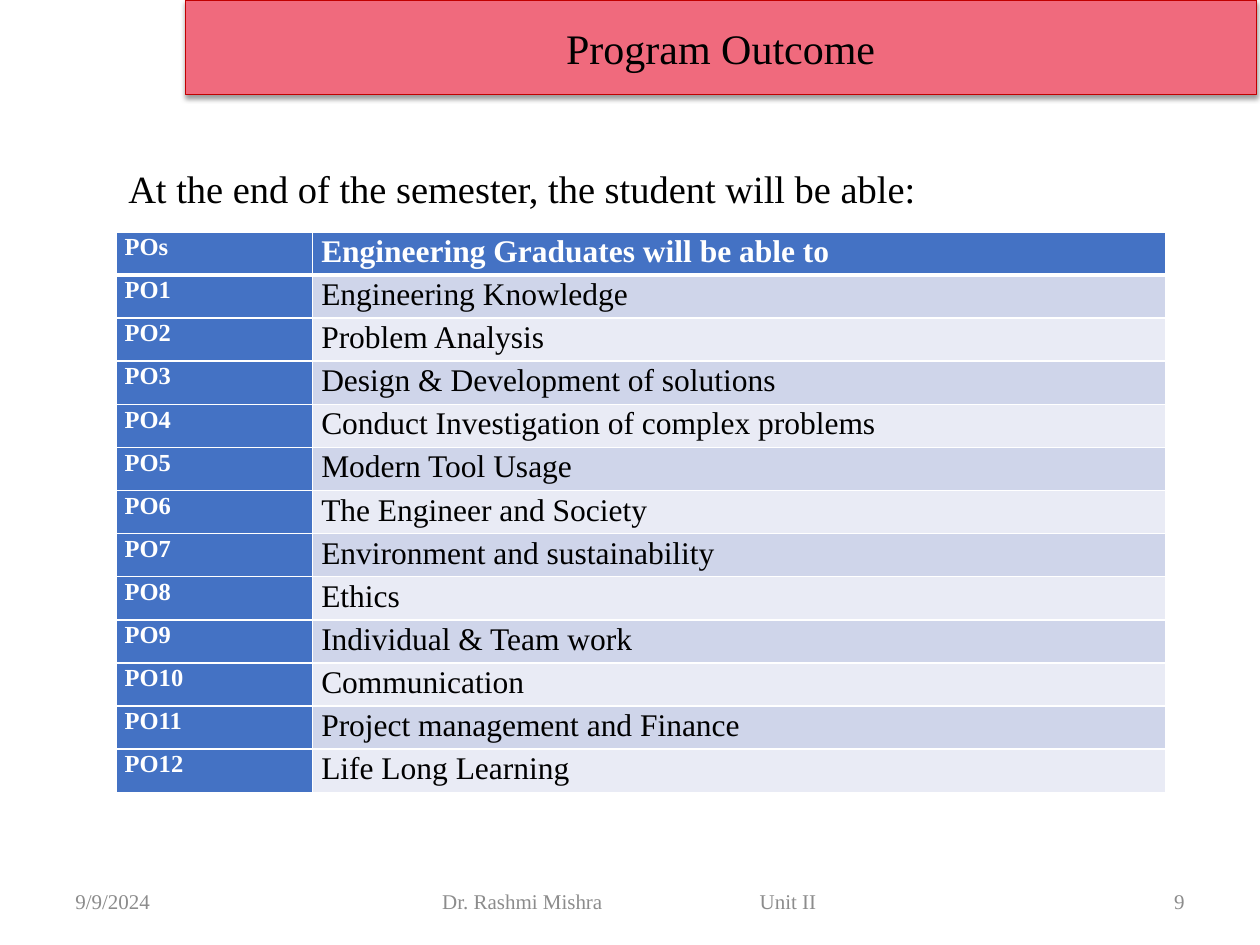
from lxml import etree
from pptx import Presentation
from pptx.dml.color import RGBColor
from pptx.enum import text as t
from pptx.oxml import parse_xml
from pptx.oxml import ns
from pptx.util import Inches, Pt

FONT = "Times New Roman"
COLORS = {
    "black": "000000", "white": "FFFFFF", "gray": "8C8C8C",
    "banner": "F06A7D", "banner_line": "C00000",
    "head": "4472C4", "odd": "CFD5EA", "even": "E9EBF5",
}
OUTCOMES = [
    "Engineering Knowledge", "Problem Analysis",
    "Design & Development of solutions",
    "Conduct Investigation of complex problems",
    "Modern Tool Usage", "The Engineer and Society",
    "Environment and sustainability", "Ethics",
    "Individual & Team work", "Communication",
    "Project management and Finance", "Life Long Learning",
]
ALIGN = t.PP_ALIGN


def rgb(name):
    return RGBColor.from_string(COLORS[name])


def add_run(p, text, size, color, bold=False):
    r = p.add_run()
    r.text = text
    r.font.name, r.font.size, r.font.bold = FONT, Pt(size), bold
    r.font.color.rgb = rgb(color)


def add_text(s, box, text, size, color, align=ALIGN.LEFT, anchor=t.MSO_ANCHOR.MIDDLE):
    tf = s.shapes.add_textbox(*map(Inches, box)).text_frame
    tf.word_wrap = True
    tf.vertical_anchor = anchor
    p = tf.paragraphs[0]
    p.alignment = align
    add_run(p, text, size, color)
    return tf


def add_banner(s, box, text):
    sp = s.shapes.title
    sp.left, sp.top, sp.width, sp.height = map(Inches, box)
    sp.fill.solid()
    sp.fill.fore_color.rgb = rgb("banner")
    sp.line.color.rgb = rgb("banner_line")
    sp.line.width = Pt(0.75)
    sp._element.spPr.append(parse_xml(
        f'<a:effectLst {ns.nsdecls("a")}>'
        f'<a:outerShdw blurRad="{Pt(3.1)}" dist="{Pt(1.6)}" dir="5400000" rotWithShape="0">'
        f'<a:srgbClr val="{COLORS["black"]}"><a:alpha val="38000"/></a:srgbClr>'
        '</a:outerShdw></a:effectLst>'))
    tf = sp.text_frame
    tf.auto_size = t.MSO_AUTO_SIZE.NONE
    tf.vertical_anchor = t.MSO_ANCHOR.MIDDLE
    p = tf.paragraphs[0]
    p.alignment = ALIGN.CENTER
    add_run(p, text, 24, "black")


def add_intro(s, box, text):
    tf = add_text(s, box, text, 22, "black", anchor=t.MSO_ANCHOR.TOP)
    tf.auto_size = t.MSO_AUTO_SIZE.SHAPE_TO_FIT_TEXT
    tf.paragraphs[0].line_spacing = 1.15
    tf.paragraphs[0].space_after = Pt(10)


def set_borders(cell, top, bottom):
    """Draw white borders, with the top and bottom widths in points."""
    tcPr = cell._tc.get_or_add_tcPr()
    widths = {"lnL": 1, "lnR": 1, "lnT": top, "lnB": bottom}
    for i, (tag, width) in enumerate(widths.items()):
        ln = etree.Element(ns.qn(f"a:{tag}"), w=str(Pt(width)))
        fill = etree.SubElement(ln, ns.qn("a:solidFill"))
        etree.SubElement(fill, ns.qn("a:srgbClr"), val=COLORS["white"])
        tcPr.insert(i, ln)


def add_outcomes(s, box, col_widths):
    rows = [("POs", "Engineering Graduates will be able to")]
    rows += [(f"PO{i}", name) for i, name in enumerate(OUTCOMES, 1)]
    table = s.shapes.add_table(len(rows), 2, *map(Inches, box)).table
    table.first_col = True
    for col, width in zip(table.columns, col_widths):
        col.width = Inches(width)
    for i, row in enumerate(rows):
        table.rows[i].height = Inches(box[3] / len(rows))
        for j, text in enumerate(row):
            cell = table.cell(i, j)
            heading = i == 0 or j == 0
            cell.margin_left = cell.margin_right = Inches(0.07)
            cell.margin_top = cell.margin_bottom = 0
            cell.fill.solid()
            cell.fill.fore_color.rgb = rgb("head" if heading else "odd" if i % 2 else "even")
            set_borders(cell, 3 if i == 1 else 1, 3 if i == 0 else 1)
            p = cell.text_frame.paragraphs[0]
            p.line_spacing = 1.07
            add_run(p, text, 18 if j else 14, "white" if heading else "black", heading)


def add_footer(s, box):
    """Place the date, the author with the unit, and the page number."""
    left, top, width, height = box
    side, middle = 2.33, 5.5
    add_text(s, (left, top, side, height), "9/9/2024", 12, "gray")
    tf = add_text(s, (left + (width - middle) / 2, top, middle, height),
                  "Dr. Rashmi Mishra\tUnit II", 12, "gray")
    tf.margin_left = Inches(1.26)
    tabs = etree.SubElement(tf.paragraphs[0]._p.get_or_add_pPr(), ns.qn("a:tabLst"))
    etree.SubElement(tabs, ns.qn("a:tab"), pos=str(Inches(2.52)), algn="l")
    add_text(s, (left + width - side, top, side, height), "9", 12, "gray", ALIGN.RIGHT)


def main():
    prs = Presentation()
    prs.slide_width, prs.slide_height = Inches(10), Inches(7.5)
    s = prs.slides.add_slide(prs.slide_layouts[5])
    add_footer(s, (0.5, 6.95, 9, 0.4))
    add_banner(s, (1.47, 0, 8.5, 0.75), "Program Outcome")
    add_intro(s, (0.92, 1.21, 8.5, 0.5),
              "At the end of the semester, the student will be able:")
    add_outcomes(s, (0.92, 1.84, 8.33, 4.45), (1.56, 6.77))
    prs.save("out.pptx")


if __name__ == "__main__":
    main()
